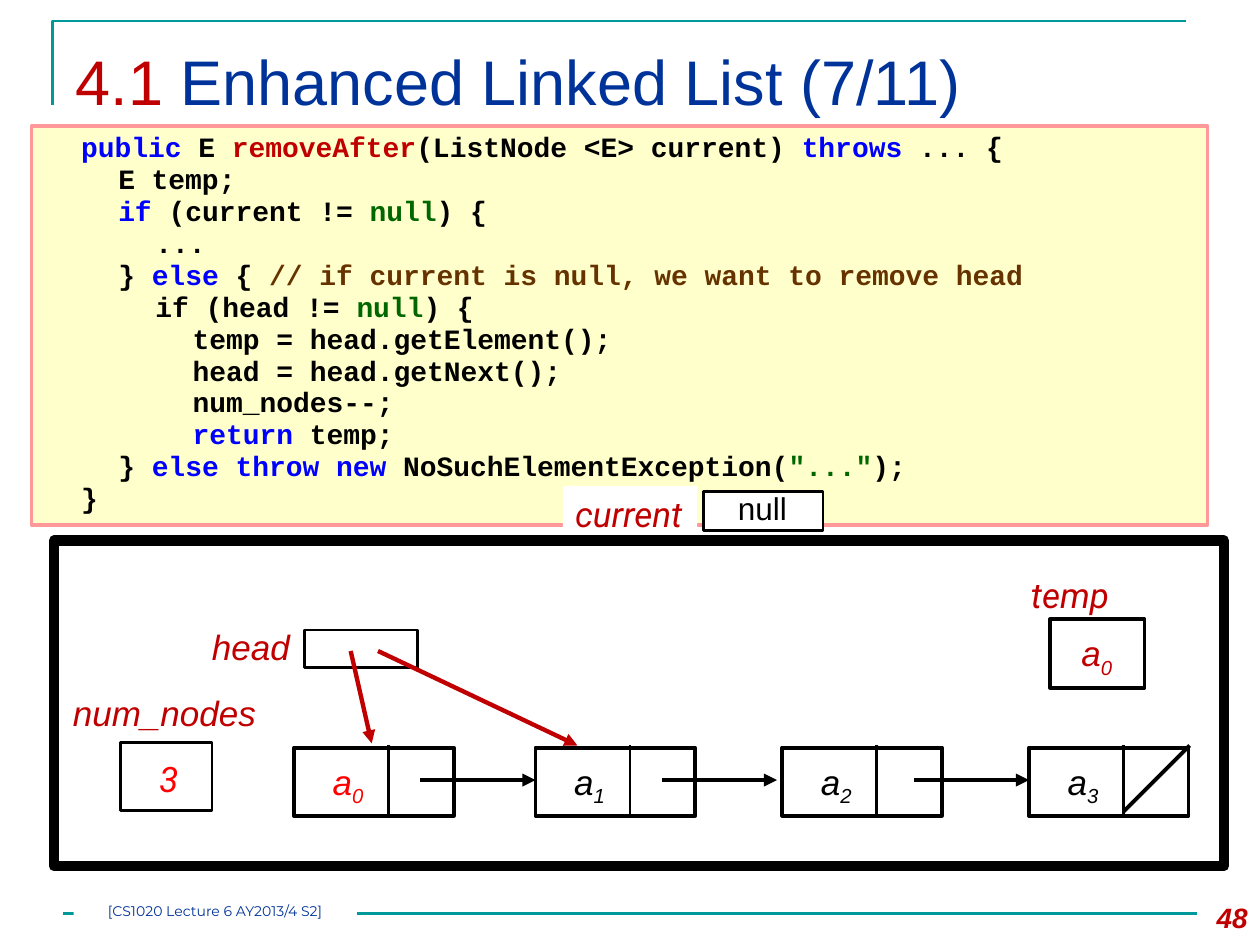
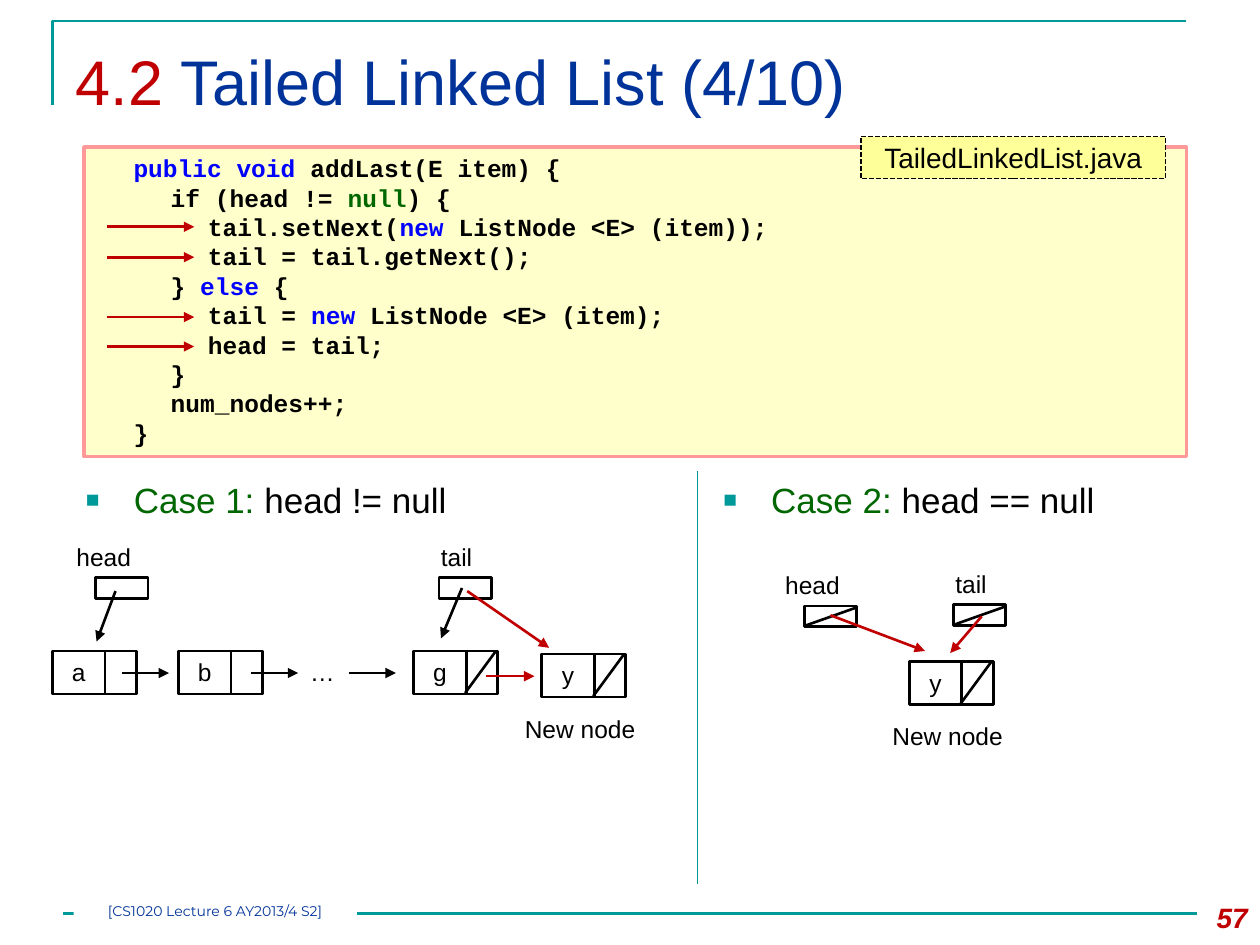
from pptx import Presentation, util as u
from pptx.dml.color import RGBColor
from pptx.enum import dml, shapes, text
from pptx.oxml.ns import qn
from lxml import etree

CELL = u.Inches(1 / 12)  # the slide is a grid of 120 columns by 90 rows
BLACK, WHITE, RED, BRIGHT_RED = "000000", "FFFFFF", "C00000", "FF0000"
NAVY, TEAL, BLUE, GREEN, BROWN = "003399", "009999", "0000FF", "006600", "663300"
CODE_FILL, CODE_EDGE, FILE_FILL = "FFFFCC", "FF9999", "FFFF99"
LEFT, CENTER, RIGHT = text.PP_ALIGN.LEFT, text.PP_ALIGN.CENTER, text.PP_ALIGN.RIGHT
color = RGBColor.from_string


def box(page, left, top, width, height, lines=(), fill=None, edge=None, weight=1.5,
        size=14, font="Arial", ink=BLACK, bold=False, italic=False, align=LEFT):
    """Add a rectangle, or a text box if it has no fill and no edge.

    Each line is a list of spans: a string in the ink colour or (string, colour).
    """
    area = [round(n * CELL) for n in (left, top, width, height)]
    if fill or edge:
        shape = page.shapes.add_shape(shapes.MSO_SHAPE.RECTANGLE, *area)
        shape.shadow.inherit = False
    else:
        shape = page.shapes.add_textbox(*area)
    if fill:
        shape.fill.solid()
        shape.fill.fore_color.rgb = color(fill)
    else:
        shape.fill.background()
    if edge:
        shape.line.color.rgb = color(edge)
        shape.line.width = u.Pt(weight)
    else:
        shape.line.fill.background()
    frame = shape.text_frame
    frame.word_wrap = True
    frame.vertical_anchor = text.MSO_ANCHOR.TOP
    if align == LEFT:
        frame.margin_right = 0
    for number, spans in enumerate(lines):
        para = frame.add_paragraph() if number else frame.paragraphs[0]
        para.alignment = align
        for piece in spans:
            words, tint = (piece, ink) if isinstance(piece, str) else piece
            span = para.add_run()
            span.text = words
            span.font.name, span.font.size = font, u.Pt(size)
            span.font.bold, span.font.italic = bold, italic
            span.font.color.rgb = color(tint)
    return shape


def line(page, x1, y1, x2, y2, ink=BLACK, weight=1.5, arrow=False):
    ends = [round(n * CELL) for n in (x1, y1, x2, y2)]
    connector = page.shapes.add_connector(shapes.MSO_CONNECTOR.STRAIGHT, *ends)
    connector.line.color.rgb = color(ink)
    connector.line.width = u.Pt(weight)
    if arrow:
        etree.SubElement(connector.line._get_or_add_ln(), qn("a:tailEnd"), type="triangle")
    etree.SubElement(connector._element.spPr, qn("a:effectLst"))


deck = Presentation()
deck.slide_width, deck.slide_height = 120 * CELL, 90 * CELL

# Shared frame, title, footer and code panel; each code line starts with its indent level
slides = [
    ("4.1 ", "Enhanced Linked List (7/11)", "48", (3, 12, 112, 38), 16, 0.95, [
        (1, ("public", BLUE), " E ", ("removeAfter", RED), "(ListNode <E> current) ",
         ("throws", BLUE), " ... {"),
        (2, "E temp;"),
        (2, ("if ", BLUE), "(current != ", ("null", GREEN), ") {"),
        (3, "..."),
        (2, "} ", ("else ", BLUE), "{ ",
         ("// if current is null, we want to remove head", BROWN)),
        (3, "if (head != ", ("null", GREEN), ") {"),
        (4, "temp = head.getElement();"),
        (4, "head = head.getNext();"),
        (4, "num_nodes--;"),
        (4, ("return", BLUE), " temp;"),
        (2, "} ", ("else throw new ", BLUE), "NoSuchElementException(",
         ('"..."', GREEN), ");"),
        (1, "}"),
    ]),
    ("4.2 ", "Tailed Linked List (4/10)", "57", (8, 14, 105, 29.5), 14, 1.0, [
        (1, ("public void ", BLUE), "addLast(E item) {"),
        (2, "if (head != ", ("null", GREEN), ") {"),
        (3, "tail.setNext(", ("new ", BLUE), "ListNode <E> (item));"),
        (3, "tail = tail.getNext();"),
        (2, "} ", ("else", BLUE), " {"),
        (3, "tail = ", ("new ", BLUE), "ListNode <E> (item);"),
        (3, "head = tail;"),
        (2, "}"),
        (2, "num_nodes++;"),
        (1, "}"),
    ]),
]
pages = []
for section, heading, number, panel, size, spacing, code in slides:
    page = deck.slides.add_slide(deck.slide_layouts[5])
    pages.append(page)

    builder = page.shapes.build_freeform(5, 10, scale=CELL)
    builder.add_line_segments([(5, 2), (113, 2)], close=False)
    corner = builder.convert_to_shape()
    corner.shadow.inherit = False
    corner.fill.background()
    corner.line.color.rgb = color(TEAL)
    corner.line.width = u.Pt(1.5)

    title = page.shapes.title
    title.left, title.top, title.width, title.height = 6 * CELL, 3 * CELL, 108 * CELL, round(10.3 * CELL)
    title.text_frame.vertical_anchor = text.MSO_ANCHOR.MIDDLE
    para = title.text_frame.paragraphs[0]
    para.alignment, para.line_spacing = LEFT, 0.9
    for words, tint in ((section, RED), (heading, NAVY)):
        span = para.add_run()
        span.text = words
        span.font.name, span.font.size = "Arial", u.Pt(36)
        span.font.color.rgb = color(tint)

    line(page, 6, 87, 114, 87, TEAL)
    footer = box(page, 7, 86, 27, 2, [["[CS1020 Lecture 6 AY2013/4 S2]"]], fill=WHITE,
                 size=8, font="Montserrat", ink=NAVY, align=CENTER).text_frame
    footer.margin_left = footer.margin_right = footer.margin_top = footer.margin_bottom = 0
    box(page, 112, 85.2, 8, 4.8, [[number]], size=16, ink=RED, bold=True, italic=True, align=RIGHT)

    listing = box(page, *panel, [spans for level, *spans in code], fill=CODE_FILL,
                  edge=CODE_EDGE, weight=2, size=size, font="Courier New", bold=True)
    for para, (level, *spans) in zip(listing.text_frame.paragraphs, code):
        para.line_spacing = spacing
        para._p.get_or_add_pPr().set("marL", str(u.Inches(0.295 * level)))

removal, tailed = pages

# Slide 1: removing the head node
box(removal, 53.6, 46.3, 12.8, 5.2, [["current"]], fill=WHITE, size=20, font="Roboto",
    ink=RED, italic=True)
box(removal, 11.5, 70.7, 8.7, 6.5, fill=WHITE, edge=BLACK)
box(removal, 14, 71.6, 4.3, 5.3, [["3"]], size=20, font="Roboto", ink=BRIGHT_RED, italic=True)
box(removal, 5.16, 51.5, 111.4, 31, edge=BLACK, weight=6)
box(removal, 29, 60, 10.8, 3.6, edge=BLACK)
for label, left, top, font in (("num_nodes", 5.76, 65.3, "Arial"),
                               ("head", 19, 59, "Arial"),
                               ("temp", 97, 54, "Roboto")):
    box(removal, left, top, 20, 5.3, [[label]], size=20, font=font, ink=RED, italic=True)

box(removal, 100, 59, 9, 6.5, edge=BLACK, weight=2.25)
elements = [("0", 101.8, 59.6, RED)]
for index, left in enumerate((28, 51, 74.5, 98)):
    box(removal, left, 71.2, 15.2, 6.5, edge=BLACK, weight=2.25)
    line(removal, left + 9, 71, left + 9, 77.6)
    elements.append((str(index), left + 2.5, 71.8, BLACK if index else BRIGHT_RED))
for index, left, top, ink in elements:
    element = box(removal, left, top, 5.5, 5.3, [["a", index]], size=20, ink=ink, italic=True)
    subscript = element.text_frame.paragraphs[0].runs[1]
    subscript.font._element.set("baseline", "-25000")
for start in (40, 63, 87):
    line(removal, start, 74.3, start + 11, 74.3, weight=2.5, arrow=True)
line(removal, 113.3, 71, 107, 77.3, weight=2.25)

box(removal, 67, 46.8, 11.4, 3.7, fill=WHITE, edge=BLACK)
box(removal, 68.1, 46, 9, 4.8, [["null"]], size=18, align=CENTER)
line(removal, 33.4, 62, 35.4, 70.8, RED, 2.5, arrow=True)
line(removal, 36, 62, 55, 71, RED, 2.5, arrow=True)

# Slide 2: adding a last node
file_tag = box(tailed, 82, 13, 29, 4, [["TailedLinkedList.java"]], fill=FILE_FILL,
               edge=BLACK, weight=1, size=16, align=CENTER)
file_tag.line.dash_style = dml.MSO_LINE.SQUARE_DOT
file_tag.text_frame.vertical_anchor = text.MSO_ANCHOR.MIDDLE
for row in (21.6, 24.5, 30.2, 33):
    line(tailed, 10.2, row, 18.5, row, RED, arrow=True)

line(tailed, 66.4, 44.9, 66.4, 84.2, "009696", 0.75)
for left, case, condition in ((7, "Case 1: ", "head != null"), (67.7, "Case 2: ", "head == null")):
    heading = box(tailed, left, 45, 45, 6, [[(case, GREEN), condition]], size=20)
    props = heading.text_frame.paragraphs[0]._p.get_or_add_pPr()
    props.set("marL", str(u.Inches(0.38)))
    props.set("indent", str(u.Inches(-0.38)))
    etree.SubElement(etree.SubElement(props, qn("a:buClr")), qn("a:srgbClr"), val=TEAL)
    etree.SubElement(props, qn("a:buSzPct"), val="65000")
    etree.SubElement(props, qn("a:buFont"), typeface="Arial")
    etree.SubElement(props, qn("a:buChar"), char="■")

# Pointer cells: name, left and top of the cell, distance to its label, is it null
for name, left, top, gap, is_null in (("head", 9.1, 55, 3, False), ("tail", 41.8, 55, 1, False),
                                      ("head", 76.6, 57.7, 3, True), ("tail", 90.8, 57.6, 1, True)):
    box(tailed, left - gap, top - 4, 9, 4.1, [[name]])
    box(tailed, left, top, 5, 2, fill=WHITE, edge=BLACK)
    if is_null:
        line(tailed, left + 0.2, top + 1.85, left + 5, top + 0.15)

# List nodes: item, left, top, does the list end here
for item, left, top, is_last in (("a", 5, 62, False), ("b", 17, 62, False), ("g", 39.4, 62, True),
                                 ("y", 51.6, 62.3, True), ("y", 86.6, 63, True)):
    box(tailed, left, top, 5, 4.1, [[item]], edge=BLACK, align=CENTER)
    box(tailed, left + 5, top, 3, 4.1, edge=BLACK)
    if is_last:
        line(tailed, left + 4.9, top + 4, left + 7.8, top + 0.05)
    if item == "y":
        box(tailed, left - 2.8, top + 5.1, 13.3, 4.1, [["New node"]])
box(tailed, 27.8, 62, 5.8, 4.1, [["…"]], align=CENTER)

for ink, arrows in (
    (BLACK, [(11.6, 64.1, 16.1, 64.1), (23.9, 64.1, 28.4, 64.1), (33.2, 64.1, 37.7, 64.1),
             (11, 56.3, 9.2, 61.1), (44, 56, 42, 60.8)]),
    (RED, [(46.3, 64.4, 50.9, 64.4), (44.5, 56.3, 52.3, 61.7),
           (93.5, 58.7, 90.5, 62.2), (79.1, 58.6, 88.1, 62)]),
):
    for ends in arrows:
        line(tailed, *ends, ink, arrow=True)

deck.save("out.pptx")
